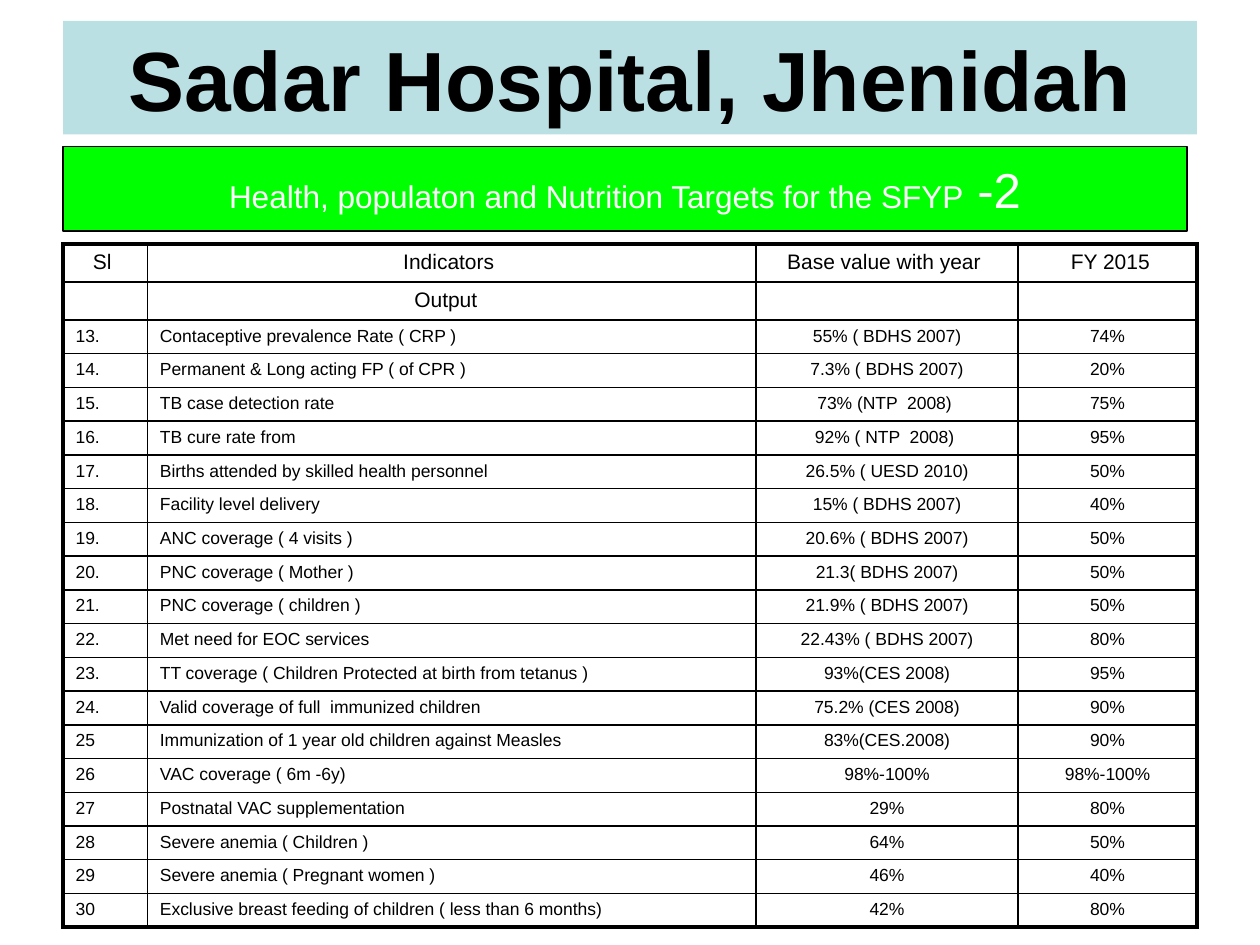
from lxml import etree
from pptx import Presentation
from pptx.dml.color import RGBColor
from pptx.enum.shapes import MSO_SHAPE
from pptx.enum.text import MSO_ANCHOR, MSO_AUTO_SIZE, PP_ALIGN
from pptx.oxml.ns import qn
from pptx.util import Cm, Pt

BLACK = RGBColor(0x00, 0x00, 0x00)
WHITE = RGBColor(0xFF, 0xFF, 0xFF)
PALE_BLUE = RGBColor(0xBB, 0xE0, 0xE3)
GREEN = RGBColor(0x00, 0xFF, 0x00)
RECTANGLE = MSO_SHAPE.RECTANGLE
MIDDLE, TOP = MSO_ANCHOR.MIDDLE, MSO_ANCHOR.TOP
CENTER, LEFT = PP_ALIGN.CENTER, PP_ALIGN.LEFT
NO_AUTOFIT = MSO_AUTO_SIZE.NONE

FONT = "Arial"
TITLE_ONLY = 5
THIN, THICK = Pt(1), Pt(2.25)
COLUMN_WIDTHS = [Cm(1.7), Cm(12.27), Cm(5.28), Cm(3.61)]
HEADING_ROWS = 2
HEADING_HEIGHT, ROW_HEIGHT = Cm(0.76), Cm(0.68)

TARGETS = [
    ("Sl ", "Indicators ", "Base value with year ", " FY 2015"),
    ("", "Output  ", "", ""),
    ("13.", "Contaceptive prevalence Rate ( CRP )", "55% ( BDHS 2007)", "74%"),
    ("14.", "Permanent & Long acting FP ( of CPR )", "7.3% ( BDHS 2007)", "20%"),
    ("15.", "TB case detection rate", "73% (NTP  2008) ", "75%"),
    ("16.", "TB cure rate from", "92% ( NTP  2008) ", "95%"),
    ("17.", "Births attended by skilled health personnel", "26.5% ( UESD 2010)", "50%"),
    ("18.", "Facility level delivery", "15% ( BDHS 2007)", "40%"),
    ("19.", "ANC coverage ( 4 visits )", "20.6% ( BDHS 2007)", "50%"),
    ("20.", "PNC coverage ( Mother )", "21.3( BDHS 2007)", "50%"),
    ("21.", "PNC coverage ( children )", "21.9% ( BDHS 2007)", "50%"),
    ("22.", "Met need for EOC services", "22.43% ( BDHS 2007)", "80%"),
    ("23.", "TT coverage ( Children Protected at birth from tetanus )", "93%(CES 2008)", "95%"),
    ("24.", "Valid coverage of full  immunized children", "75.2% (CES 2008)", "90%"),
    ("25", "Immunization of 1 year old children against Measles", "83%(CES.2008)", "90%"),
    ("26", "VAC coverage ( 6m -6y)", "98%-100%", "98%-100%"),
    ("27", "Postnatal VAC supplementation", "29%", "80%"),
    ("28", "Severe anemia ( Children )", "64%", "50%"),
    ("29", "Severe anemia ( Pregnant women )", "46%", "40%"),
    ("30", "Exclusive breast feeding of children ( less than 6 months)", "42%", "80%"),
]


def format_span(span, size, color, bold=False):
    span.font.name = FONT
    span.font.size = Pt(size)
    span.font.bold = bold
    span.font.color.rgb = color


def add_title(page, left, top, width, height):
    box = page.shapes.title
    box.left, box.top, box.width, box.height = left, top, width, height
    box.fill.solid()
    box.fill.fore_color.rgb = PALE_BLUE
    frame = box.text_frame
    frame.text = "Sadar Hospital, Jhenidah"
    frame.auto_size = NO_AUTOFIT
    frame.vertical_anchor = MIDDLE
    para = frame.paragraphs[0]
    para.alignment = CENTER
    format_span(para.runs[0], 48, BLACK, bold=True)


def add_banner(page, left, top, width, height):
    box = page.shapes.add_shape(RECTANGLE, left, top, width, height)
    box.shadow.inherit = False
    box.fill.solid()
    box.fill.fore_color.rgb = GREEN
    box.line.color.rgb = BLACK
    box.line.width = Pt(0.75)
    box.text_frame.vertical_anchor = MIDDLE
    para = box.text_frame.paragraphs[0]
    para.alignment = CENTER
    for text, size in [("Health, populaton and Nutrition Targets for the SFYP", 18),
                       (" -2", 28)]:
        span = para.add_run()
        span.text = text
        format_span(span, size, WHITE)


def set_borders(cell, widths):
    properties = cell._tc.get_or_add_tcPr()
    for side, width in widths.items():
        line = etree.SubElement(properties, qn(f"a:ln{side}"), w=str(width))
        fill = etree.SubElement(line, qn("a:solidFill"))
        etree.SubElement(fill, qn("a:srgbClr"), val=str(BLACK))


def fill_cell(cell, text, size, alignment):
    cell.fill.background()
    cell.vertical_anchor = TOP
    para = cell.text_frame.paragraphs[0]
    para.alignment = alignment
    if text:
        para.text = text
        format_span(para.runs[0], size, BLACK)
    else:
        # An empty cell needs its own text size to keep the row low
        etree.SubElement(para._p, qn("a:endParaRPr"), sz=str(size * 100))


def add_targets_table(page, left, top):
    last_row, last_column = len(TARGETS) - 1, len(COLUMN_WIDTHS) - 1
    heights = [HEADING_HEIGHT if row < HEADING_ROWS else ROW_HEIGHT
               for row in range(len(TARGETS))]
    table = page.shapes.add_table(len(heights), len(COLUMN_WIDTHS), left, top,
                                  sum(COLUMN_WIDTHS), sum(heights)).table
    table.horz_banding = False
    for column, width in zip(table.columns, COLUMN_WIDTHS):
        column.width = width

    for row, texts in enumerate(TARGETS):
        table.rows[row].height = heights[row]
        heading = row < HEADING_ROWS
        for column, text in enumerate(texts):
            cell = table.cell(row, column)
            # Thick lines around the table, thin lines inside
            set_borders(cell, {
                "L": THICK if column == 0 else THIN,
                "R": THICK if column == last_column else THIN,
                "T": THICK if row == 0 else THIN,
                "B": THICK if row == last_row else THIN,
            })
            centered = heading or column >= 2
            fill_cell(cell, text, 12 if heading else 10, CENTER if centered else LEFT)


def main():
    deck = Presentation()
    deck.slide_width, deck.slide_height = Cm(25.4), Cm(19.05)
    page = deck.slides.add_slide(deck.slide_layouts[TITLE_ONLY])
    left = Cm(1.27)
    add_title(page, left, Cm(0.42), Cm(22.86), Cm(2.29))
    add_banner(page, left, Cm(2.96), Cm(22.66), Cm(1.7))
    add_targets_table(page, left, Cm(4.92))
    deck.save("out.pptx")


if __name__ == "__main__":
    main()
